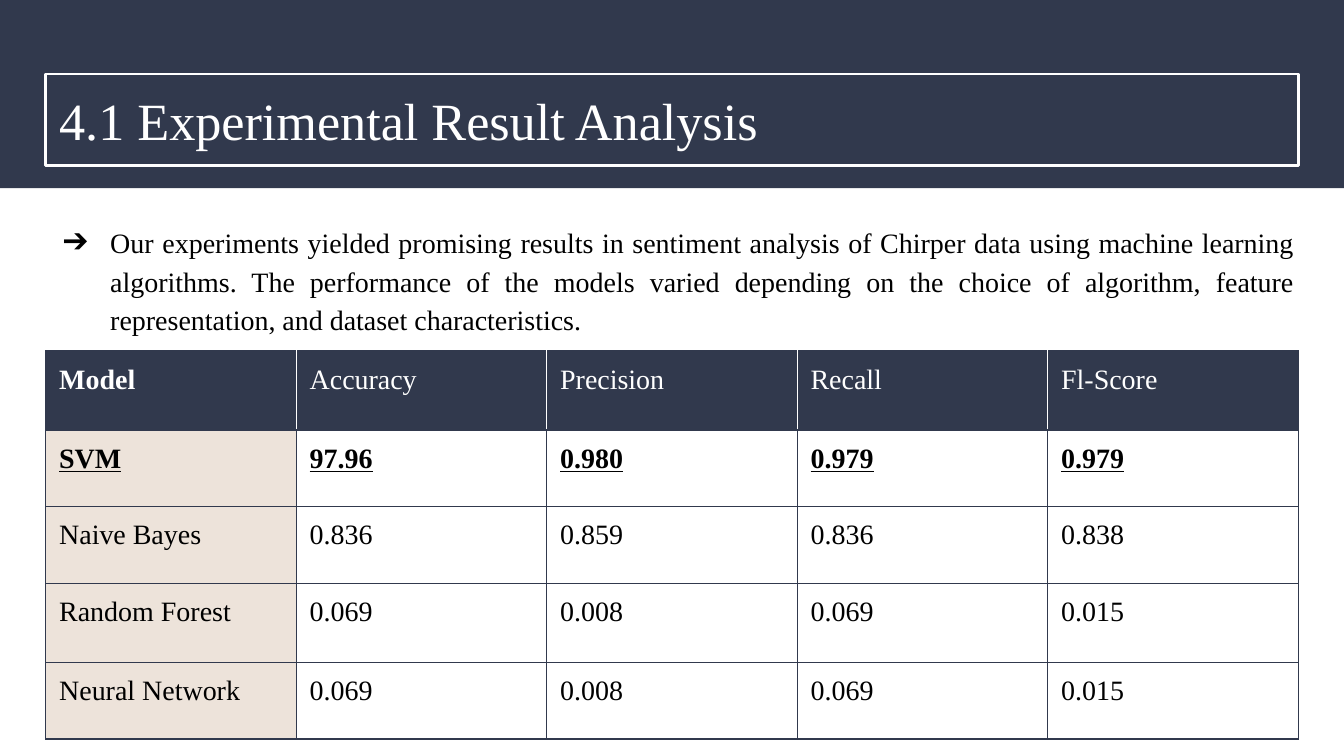
from lxml.etree import SubElement
from pptx import Presentation
from pptx.dml.color import RGBColor
from pptx.enum.shapes import MSO_SHAPE
from pptx.enum.text import MSO_ANCHOR, MSO_AUTO_SIZE, PP_ALIGN
from pptx.oxml.ns import qn
from pptx.util import Inches, Pt

COLORS = {"navy": "31394D", "white": "FFFFFF", "black": "000000", "sand": "EDE3DA"}
FONT = "Times New Roman"
TEXT_SIZE = 15

SUMMARY = (
    "Our experiments yielded promising results in sentiment analysis of Chirper data "
    "using machine learning algorithms. The performance of the models varied depending "
    "on the choice of algorithm, feature representation, and dataset characteristics."
)
RESULTS = [
    ["Model", "Accuracy", "Precision", "Recall", "Fl-Score"],
    ["SVM", "97.96", "0.980", "0.979", "0.979"],
    ["Naive Bayes", "0.836", "0.859", "0.836", "0.838"],
    ["Random Forest", "0.069", "0.008", "0.069", "0.015"],
    ["Neural Network", "0.069", "0.008", "0.069", "0.015"],
]
ROW_HEIGHTS = [0.59, 0.57, 0.57, 0.59, 0.57]
BEST_ROW = 1


def rgb(name):
    return RGBColor.from_string(COLORS[name])


class ResultSlide:
    def __init__(self, prs):
        self.slide = prs.slides.add_slide(prs.slide_layouts[1])

    def style(self, paragraph, size, color, bold=False, underline=False):
        for run in paragraph.runs:
            font = run.font
            font.name, font.size = FONT, Pt(size)
            font.bold, font.underline = bold, underline
            font.color.rgb = rgb(color)

    def place(self, placeholder, text, left, top, width, height, anchor):
        placeholder.left, placeholder.top = Inches(left), Inches(top)
        placeholder.width, placeholder.height = Inches(width), Inches(height)
        frame = placeholder.text_frame
        frame.text = text
        frame.word_wrap = True
        frame.auto_size = MSO_AUTO_SIZE.NONE
        frame.vertical_anchor = anchor
        frame.margin_left = frame.margin_right = Inches(0.1)
        frame.margin_top = frame.margin_bottom = Inches(0.1)
        return frame.paragraphs[0]

    def band(self, width, height):
        """Add the dark header strip behind the title."""
        band = self.slide.shapes.add_shape(
            MSO_SHAPE.RECTANGLE, 0, 0, Inches(width), Inches(height))
        band.shadow.inherit = False
        band.fill.solid()
        band.fill.fore_color.rgb = rgb("navy")
        band.line.fill.background()
        self.slide.shapes.title.element.addprevious(band.element)

    def title(self, text, *box):
        title = self.slide.shapes.title
        heading = self.place(title, text, *box, MSO_ANCHOR.MIDDLE)
        heading.alignment = PP_ALIGN.LEFT
        self.style(heading, 28, "white")
        title.line.color.rgb = rgb("white")
        title.line.width = Pt(1.5)

    def bullet(self, text, *box):
        body = self.slide.placeholders[1]
        point = self.place(body, text, *box, MSO_ANCHOR.TOP)
        point.alignment = PP_ALIGN.JUSTIFY
        point.line_spacing = 1.15
        point.space_before = Pt(0)
        self.style(point, TEXT_SIZE, "black")
        props = point._p.get_or_add_pPr()
        props.set("marL", str(Inches(0.5)))
        props.set("indent", str(Inches(-0.35)))
        bullet_color = SubElement(props, qn("a:buClr"))
        SubElement(bullet_color, qn("a:srgbClr"), val=COLORS["black"])
        SubElement(props, qn("a:buFont"), typeface=FONT)
        SubElement(props, qn("a:buChar"), char="➔")

    def borders(self, cell, left, right):
        props = cell._tc.get_or_add_tcPr()
        sides = {"lnL": left, "lnR": right, "lnT": "navy", "lnB": "navy"}
        for side, color in sides.items():
            line = SubElement(props, qn(f"a:{side}"), w=str(Pt(0.75)))
            fill = SubElement(line, qn("a:solidFill"))
            SubElement(fill, qn("a:srgbClr"), val=COLORS[color])

    def cell(self, cell, text, row, col, last_col):
        header = row == 0
        cell.text = text
        cell.margin_left = cell.margin_right = Inches(0.1)
        cell.margin_top = cell.margin_bottom = Inches(0.1)
        best = row == BEST_ROW
        self.style(cell.text_frame.paragraphs[0], TEXT_SIZE,
                   "white" if header else "black",
                   bold=best or (header and col == 0), underline=best)
        self.borders(cell,
                     left="white" if header and col > 0 else "navy",
                     right="white" if header and col < last_col else "navy")
        if header or col == 0:
            cell.fill.solid()
            cell.fill.fore_color.rgb = rgb("navy" if header else "sand")
        else:
            cell.fill.background()

    def table(self, rows, heights, left, top, width):
        columns = len(rows[0])
        table = self.slide.shapes.add_table(
            len(rows), columns, Inches(left), Inches(top),
            Inches(width), Inches(sum(heights))).table
        for r, (values, height) in enumerate(zip(rows, heights)):
            table.rows[r].height = Inches(height)
            for c, value in enumerate(values):
                self.cell(table.cell(r, c), value, r, c, columns - 1)


def main():
    prs = Presentation()
    prs.slide_width = Inches(10)
    prs.slide_height = prs.slide_width * 9 // 16
    page = ResultSlide(prs)
    page.band(10, 1.4)
    page.title("4.1 Experimental Result Analysis", 0.34, 0.55, 9.32, 0.68)
    page.bullet(SUMMARY, 0.22, 1.54, 9.52, 3.92)
    page.table(RESULTS, ROW_HEIGHTS, 0.34, 2.61, 9.32)
    prs.save("out.pptx")


if __name__ == "__main__":
    main()
